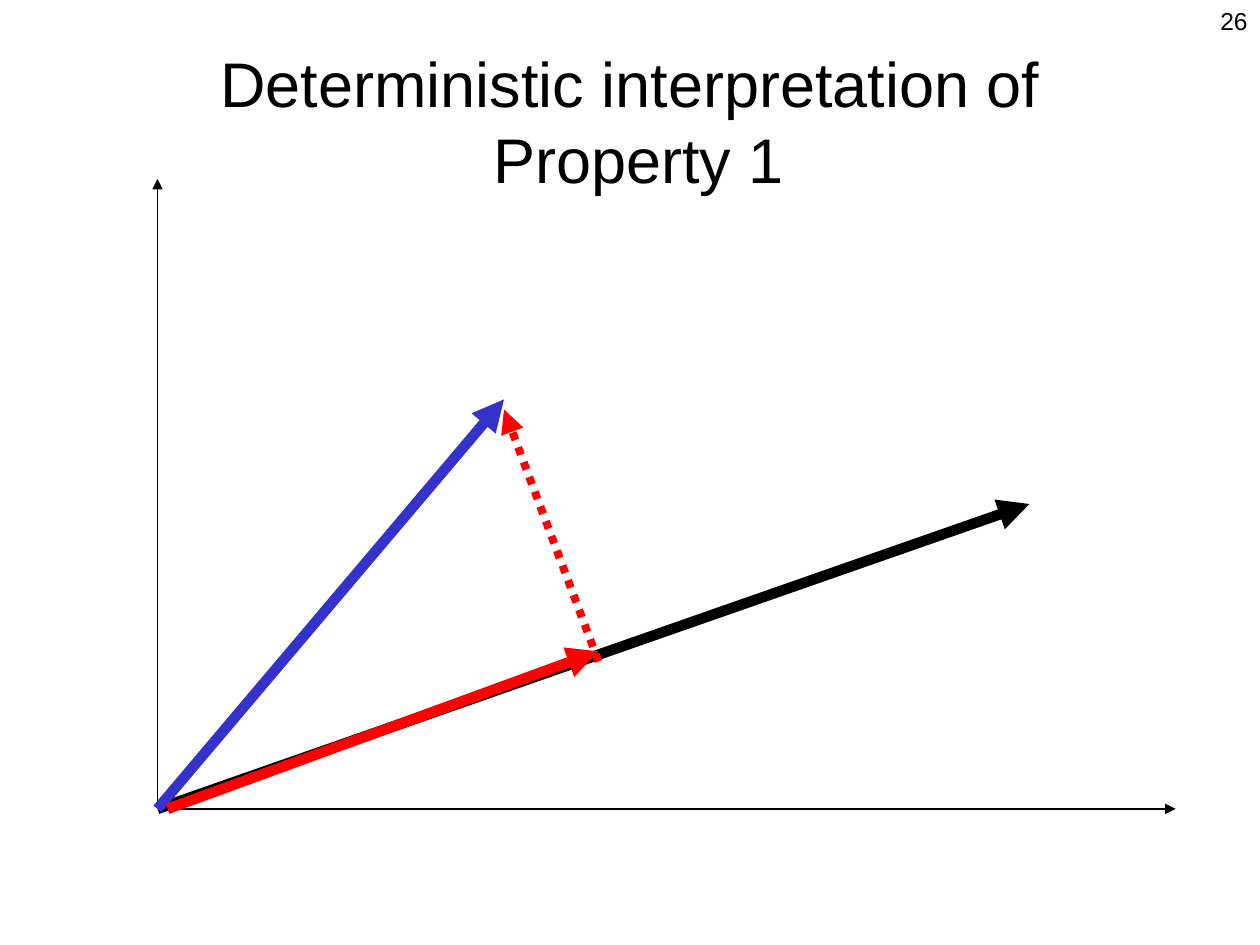
from lxml import etree
from pptx import Presentation
from pptx.dml.color import RGBColor
from pptx.enum.dml import MSO_LINE
from pptx.enum.shapes import MSO_CONNECTOR
from pptx.enum.text import MSO_ANCHOR as ANCHOR, PP_ALIGN as ALIGN
from pptx.oxml.ns import qn
from pptx.util import Inches, Pt

COLORS = {"black": "000000", "blue": "3333CC", "red": "FF0000"}
FONT = "Arial"
ORIGIN = (1.25, 6.42)


def add_text(p, text, size=14, color="black", align=ALIGN.LEFT):
    """Fill a paragraph, breaking the line at each newline."""
    p.alignment = align
    for i, line in enumerate(text.split("\n")):
        if i:
            p.add_line_break()
        r = p.add_run()
        r.text = line
        r.font.name = FONT
        r.font.size = Pt(size)
        r.font.color.rgb = RGBColor.from_string(COLORS[color])


class Deck:
    def __init__(self, width, height):
        self.prs = Presentation()
        self.prs.slide_width = Inches(width)
        self.prs.slide_height = Inches(height)
        self.s = self.prs.slides.add_slide(self.prs.slide_layouts[6])

    def text(self, box, text, anchor=ANCHOR.TOP, **fmt):
        tf = self.s.shapes.add_textbox(*map(Inches, box)).text_frame
        tf.word_wrap = True
        tf.vertical_anchor = anchor
        add_text(tf.paragraphs[0], text, **fmt)

    def arrow(self, start, end, color="black", width=6, dash=None):
        sp = self.s.shapes.add_connector(
            MSO_CONNECTOR.STRAIGHT, *map(Inches, (*start, *end)))
        sp.line.color.rgb = RGBColor.from_string(COLORS[color])
        sp.line.width = Pt(width)
        if dash:
            sp.line.dash_style = dash
        # Arrowhead at the end, and no shadow
        etree.SubElement(sp.line._get_or_add_ln(), qn("a:tailEnd"), type="triangle")
        etree.SubElement(sp._element.spPr, qn("a:effectLst"))


def main():
    deck = Deck(10, 7.5)

    # Slide number and title
    deck.text((7.92, 0, 2.08, 0.5), "26", align=ALIGN.RIGHT)
    deck.text((0.75, 0.33, 8.5, 1.25),
              "Deterministic interpretation of\n Property 1",
              anchor=ANCHOR.MIDDLE, size=36, align=ALIGN.CENTER)

    # Axes
    for end in ((9.33, ORIGIN[1]), (ORIGIN[0], 1.42)):
        deck.arrow(ORIGIN, end, width=0.75)

    # Vectors, the dotted residual and the projection
    deck.arrow(ORIGIN, (8.17, 4))
    deck.arrow(ORIGIN, (4, 3.17), color="blue")
    deck.arrow((4.75, 5.25), (4, 3.25), color="red", width=4.5,
               dash=MSO_LINE.ROUND_DOT)
    deck.arrow((1.33, ORIGIN[1]), (4.75, 5.17), color="red")

    deck.prs.save("out.pptx")


if __name__ == "__main__":
    main()
